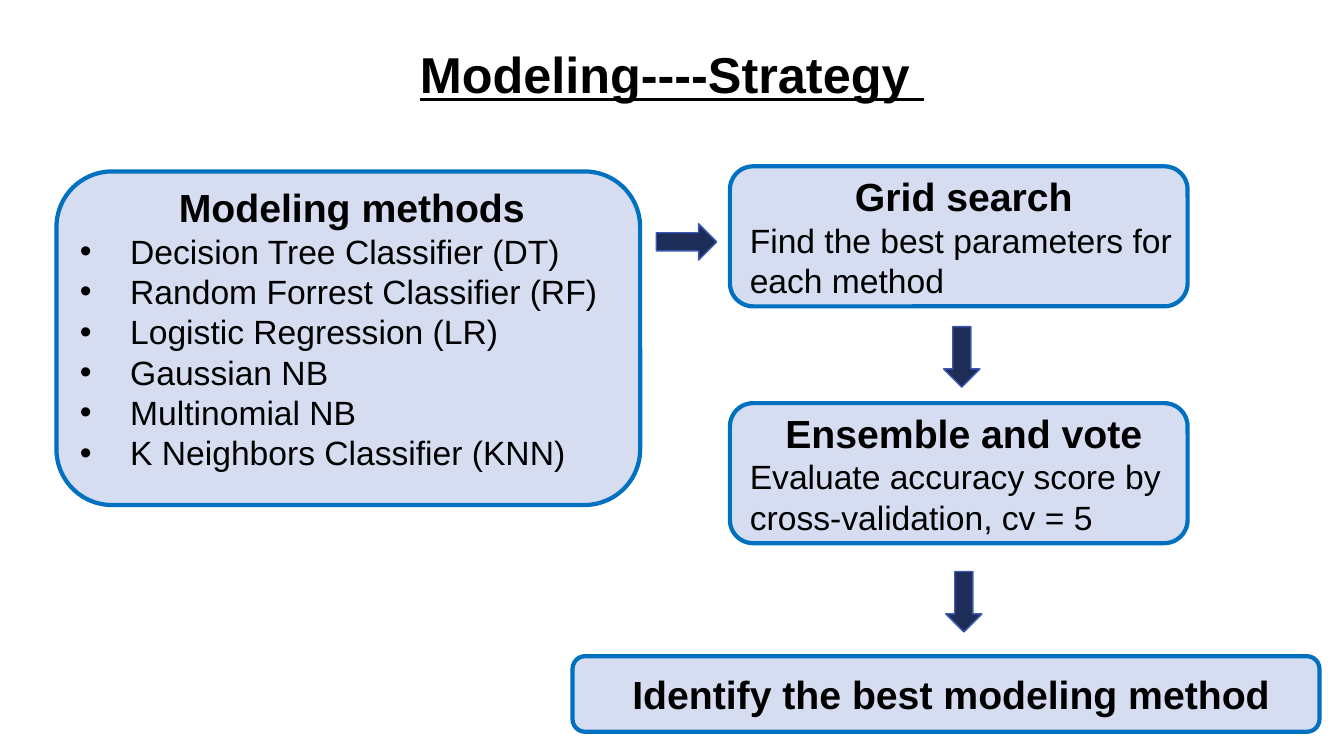
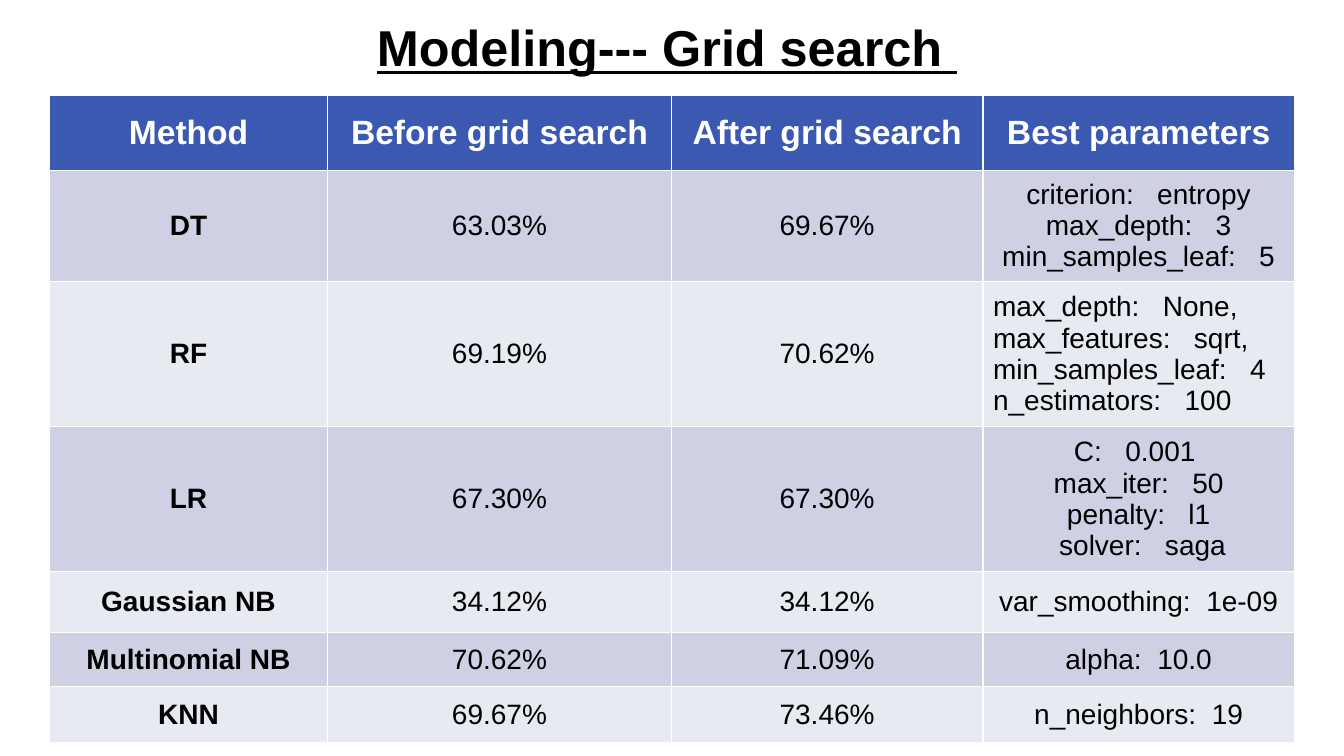
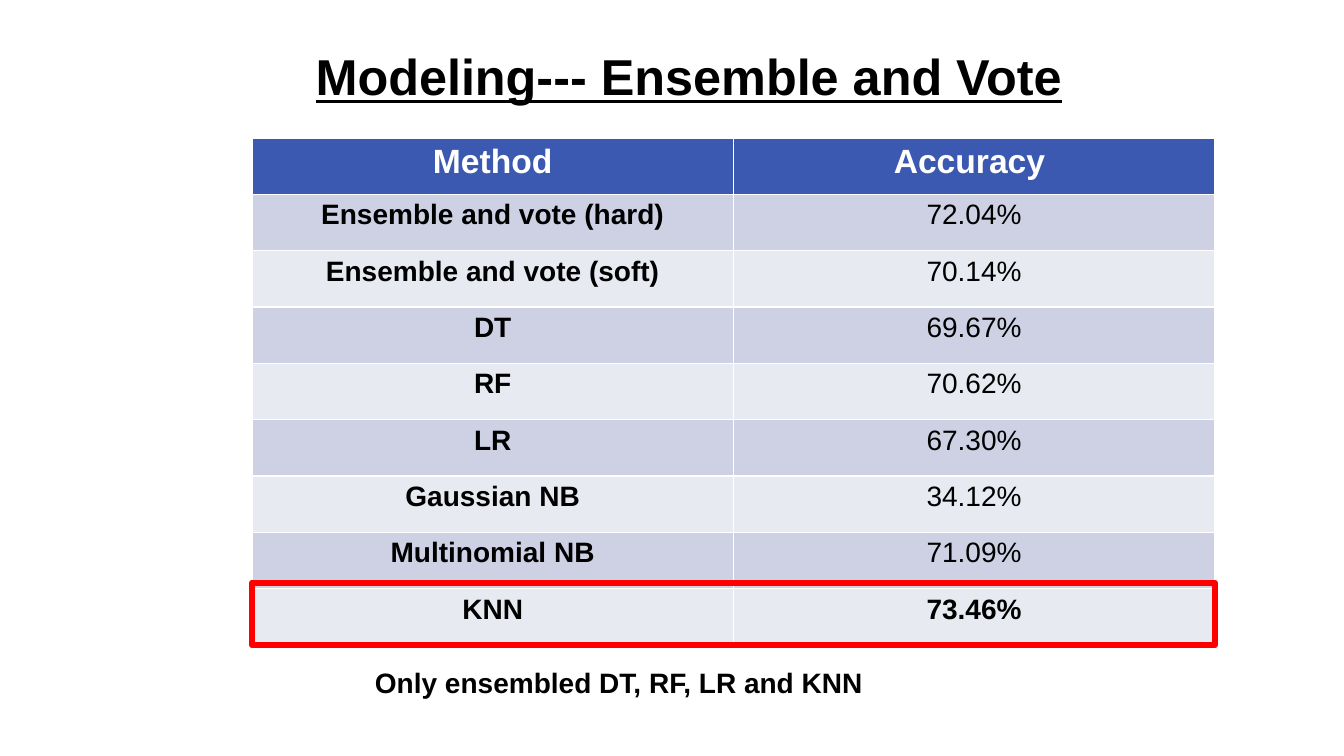
from pptx import Presentation
from pptx.dml.color import RGBColor
from pptx.enum.shapes import MSO_SHAPE
from pptx.enum.text import MSO_ANCHOR, PP_ALIGN
from pptx.oxml.ns import qn
from pptx.util import Inches, Pt

ROUND = MSO_SHAPE.ROUNDED_RECTANGLE
ARROW = MSO_SHAPE.RIGHT_ARROW
RECT = MSO_SHAPE.RECTANGLE
MIDDLE, TOP = MSO_ANCHOR.MIDDLE, MSO_ANCHOR.TOP
LEFT, CENTER = PP_ALIGN.LEFT, PP_ALIGN.CENTER

WIDE, HIGH = Inches(13.33), Inches(7.5)
FONT = "Arial"
BLACK, WHITE, RED = "000000", "FFFFFF", "FF0000"
PALE, EDGE = "D6DDF1", "0070C0"
NAVY, BLUE = "1E2D58", "3B59B1"
BANDS = "CED1E4", "E8EAF2"

GRID = [
    ("Method", "Before grid search", "After grid search", "Best parameters"),
    ("DT", "63.03%", "69.67%",
     "criterion:   entropy\nmax_depth:   3\nmin_samples_leaf:   5"),
    ("RF", "69.19%", "70.62%",
     "max_depth:   None,\nmax_features:   sqrt,\n"
     "min_samples_leaf:   4\nn_estimators:   100"),
    ("LR", "67.30%", "67.30%",
     "C:   0.001 \nmax_iter:   50\npenalty:   l1\n solver:   saga"),
    ("Gaussian NB", "34.12%", "34.12%", "var_smoothing:  1e-09"),
    ("Multinomial NB", "70.62%", "71.09%", "alpha:  10.0"),
    ("KNN", "69.67%", "73.46%", "n_neighbors:  19"),
]
VOTES = [
    ("Method", "Accuracy "),
    ("Ensemble and vote (hard)", "72.04%"),
    ("Ensemble and vote (soft)", "70.14%"),
    ("DT", "69.67%"),
    ("RF", "70.62%"),
    ("LR", "67.30%"),
    ("Gaussian NB", "34.12%"),
    ("Multinomial NB", "71.09%"),
    ("KNN", "73.46%"),
]
MODELS = [
    "Decision Tree Classifier (DT)",
    "Random Forrest Classifier (RF)",
    "Logistic Regression (LR)",
    "Gaussian NB",
    "Multinomial NB",
    "K Neighbors Classifier (KNN)",
]


def color(code):
    return RGBColor.from_string(code)


def across(share):
    """Length from a percentage of the slide's width."""
    return round(WIDE * share / 100)


def down(share):
    """Length from a percentage of the slide's height."""
    return round(HIGH * share / 100)


def place(left, top, width, height):
    return across(left), down(top), across(width), down(height)


def style(para, size, bold=False, ink=BLACK, align=LEFT, under=False):
    para.alignment = align
    for run in para.runs:
        font = run.font
        font.name, font.size, font.bold = FONT, Pt(size), bold
        font.color.rgb = color(ink)
        if under:
            font.underline = True


def bullet(para):
    props = para._p.get_or_add_pPr()
    props.set("marL", str(Inches(0.5)))
    props.set("indent", str(-Inches(0.5)))
    face = props.makeelement(qn("a:buFont"), {"typeface": FONT})
    mark = props.makeelement(qn("a:buChar"), {"char": "•"})
    props.extend([face, mark])


def label(slide, box, text, size, align=LEFT, under=False):
    frame = slide.shapes.add_textbox(*place(*box)).text_frame
    frame.word_wrap = True
    frame.vertical_anchor = MIDDLE
    frame.text = text
    para = frame.paragraphs[0]
    style(para, size, True, align=align, under=under)
    return para


def title(slide, left, top, text):
    para = label(slide, (left, top, 83.04, 8.27), text, 36, CENTER, True)
    para.line_spacing = 0.9


def figure(slide, kind, box, fill, line, weight):
    shape = slide.shapes.add_shape(kind, *place(*box))
    shape.shadow.inherit = False
    if fill:
        shape.fill.solid()
        shape.fill.fore_color.rgb = color(fill)
    else:
        shape.fill.background()
    shape.line.color.rgb = color(line)
    shape.line.width = Pt(weight)
    return shape


def card(slide, box, head, lines=(), marks=False,
         pads=(0.13, 0.03, 0.03, 0.03)):
    """Rounded box with a heading; pads are left, top, right, bottom inches."""
    frame = figure(slide, ROUND, box, PALE, EDGE, 3).text_frame
    frame.word_wrap = True
    frame.vertical_anchor = MIDDLE
    (frame.margin_left, frame.margin_top,
     frame.margin_right, frame.margin_bottom) = map(Inches, pads)
    frame.text = "\n".join([head, *lines])
    first, *rest = frame.paragraphs
    style(first, 28, True, align=CENTER)
    for para in rest:
        style(para, 24)
        if marks:
            bullet(para)


def arrow(slide, left, top, turn=0):
    figure(slide, ARROW, (left, top, 4.5, 4.8), NAVY, BLUE, 1).rotation = turn


def table(slide, left, top, cols, rows, data, anchor, strong=(), flush=()):
    """Banded table; strong and flush list cells set bold or to the left."""
    box = place(left, top, sum(cols), sum(rows))
    grid = slide.shapes.add_table(len(rows), len(cols), *box).table
    for col, share in zip(grid.columns, cols):
        col.width = across(share)
    for row, share in zip(grid.rows, rows):
        row.height = down(share)
    for r, texts in enumerate(data):
        for c, text in enumerate(texts):
            cell = grid.cell(r, c)
            cell.text = text
            cell.vertical_anchor = anchor
            cell.fill.solid()
            cell.fill.fore_color.rgb = color(BANDS[(r - 1) % 2] if r else BLUE)
            bold = r == 0 or c == 0 or (r, c) in strong
            align = LEFT if (r, c) in flush else CENTER
            for para in cell.text_frame.paragraphs:
                style(para, 20 if r else 24, bold, BLACK if r else WHITE, align)


def plan(slide):
    card(slide, (4.2, 22.67, 43.43, 44.13), "Modeling methods", MODELS,
         True, (0.07, 0, 0, 0.2))
    title(slide, 8.48, 6.13, "Modeling----Strategy ")
    steps = [
        (22, "Grid search", "Find the best parameters for each method"),
        (53.33, "Ensemble and vote",
         "Evaluate accuracy score by cross-validation, cv = 5"),
    ]
    for top, head, text in steps:
        card(slide, (54.31, top, 34.06, 18.53), head, [text])
    card(slide, (42.6, 86.8, 55.58, 10), "Identify the best modeling method")
    arrow(slide, 48.83, 29.6)
    arrow(slide, 69.31, 44.8, 90)
    arrow(slide, 69.46, 77.2, 90)


def search(slide):
    table(slide, 3.68, 12.67, [20.7, 25.58, 23.18, 23.18],
          [9.87, 14.53, 19.2, 19.2, 8, 7.2, 7.47], GRID, MIDDLE,
          flush=[(2, 3)])
    title(slide, 8.1, 2.53, "Modeling--- Grid search ")


def vote(slide):
    left, top, width, step = 18.75, 18.27, 35.82, 7.45
    table(slide, left, top, [width] * 2, [step] * len(VOTES), VOTES, TOP,
          strong=[(len(VOTES) - 1, 1)])
    title(slide, 9.75, 6.4, "Modeling--- Ensemble and Vote")
    figure(slide, RECT, (left, 77.07, 2 * width, 8.27), None, RED, 4.5)
    label(slide, (27.16, 87.33, 61.14, 5.87),
          "Only ensembled DT, RF, LR and KNN", 20)


def main():
    deck = Presentation()
    deck.slide_width, deck.slide_height = WIDE, HIGH
    for build in (plan, search, vote):
        build(deck.slides.add_slide(deck.slide_layouts[6]))
    deck.save("out.pptx")


if __name__ == "__main__":
    main()
